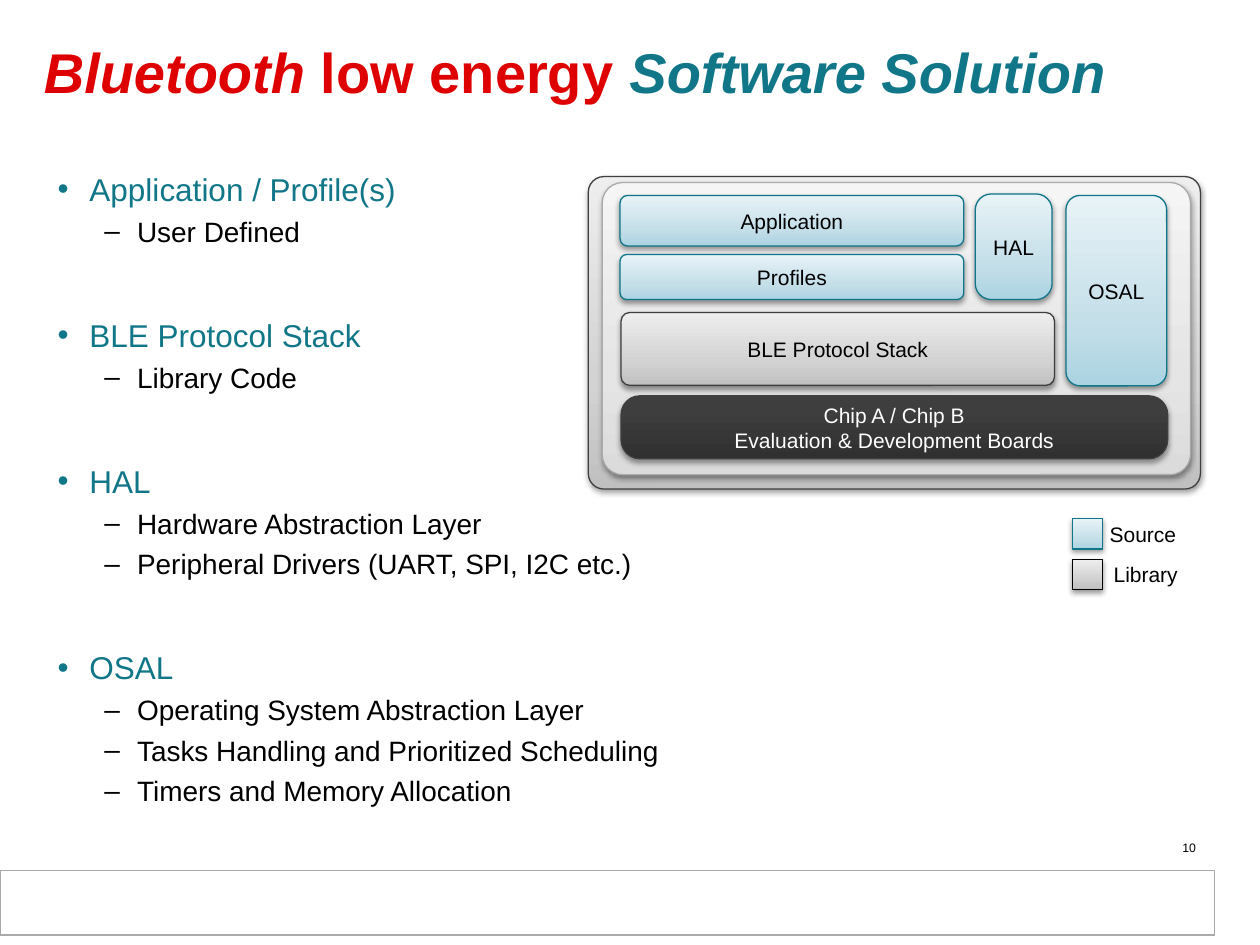
from copy import deepcopy

from lxml.etree import SubElement as Sub
from pptx import Presentation
from pptx.dml.color import RGBColor
from pptx.enum.shapes import MSO_SHAPE as Geo
from pptx.enum.text import MSO_ANCHOR as Anchor, MSO_AUTO_SIZE as Fit, PP_ALIGN as Align
from pptx.oxml.ns import qn
from pptx.util import Cm, Pt

rgb = RGBColor.from_string
RED, TEAL, BLACK, WHITE = "DE0000", "117788", "000000", "FFFFFF"

# look: gradient stops from bottom to top, line colour
LOOKS = {
    "source": ([(0, "ABD3E1"), (0.35, "C5DFE9"), (1, "E8F3F7")], "0E7688"),
    "library": ([(0, "C0C0C0"), (0.35, "D3D3D3"), (1, "EEEEEE")], "3F3F3F"),
    "key": ([(0, "BDBDBD"), (0.35, "D1D1D1"), (1, "EEEEEE")], BLACK),
    "panel": ([(0, "DBDBDB"), (0.35, "E5E5E5"), (1, "F5F5F5")], "AAAAAA"),
    "board": ([(0, "303030"), (0.8, "3E3E3E"), (1, "3E3E3E")], "3F3F3F"),
}


def style(font, color, **form):
    font.color.rgb = rgb(color)
    for key, val in ({"name": "Arial"} | form).items():
        setattr(font, key, val)


def block(geo, box, look):
    """Add a shape with a gradient, a thin line and a soft shadow."""
    shape = slide.shapes.add_shape(geo, *map(Cm, box))
    stops, edge = LOOKS[look]
    shape.fill.gradient()
    shape.fill.gradient_angle = 90
    props = shape._element.spPr
    grads = props.find(qn("a:gradFill")).find(qn("a:gsLst"))
    grads.append(deepcopy(grads[0]))
    for stop, (pos, color) in zip(shape.fill.gradient_stops, stops):
        stop.position = pos
        stop.color.rgb = rgb(color)
    shape.line.color.rgb = rgb(edge)
    shape.line.width = Pt(0.75)
    shape.shadow.inherit = False
    glow = Sub(props.find(qn("a:effectLst")), qn("a:outerShdw"), blurRad=str(Pt(3.1)),
               dist=str(Pt(1.6)), dir="5400000", rotWithShape="0")
    tone = Sub(glow, qn("a:srgbClr"), val=BLACK)
    Sub(tone, qn("a:alpha"), val="38000")
    return shape


deck = Presentation()
deck.slide_width, deck.slide_height = Cm(25.4), Cm(19.05)
slide = deck.slides.add_slide(deck.slide_layouts[1])
title, body = slide.placeholders

# Footer bar
bar = slide.shapes.add_shape(Geo.RECTANGLE, 0, Cm(17.55), Cm(24.49), Cm(1.3))
bar.fill.solid()
bar.fill.fore_color.rgb = rgb(WHITE)
bar.line.color.rgb = rgb("AAAAAA")
bar.line.width = Pt(0.75)
bar.shadow.inherit = False

# Title and list frames
for hold, box, mid in [(title, (0.63, 0.41, 23.5, 2.26), Anchor.MIDDLE),
                       (body, (0.91, 3.3, 14.38, 13.03), Anchor.TOP)]:
    hold.left, hold.top, hold.width, hold.height = map(Cm, box)
    hold.text_frame.auto_size = Fit.NONE
    hold.text_frame.vertical_anchor = mid

para = title.text_frame.paragraphs[0]
para.alignment = Align.LEFT
para.line_spacing = 0.85
for text, color, slant in [("Bluetooth", RED, True), (" low energy ", RED, False),
                           ("Software Solution", TEAL, True)]:
    run = para.add_run()
    run.text = text
    style(run.font, color, size=Pt(32), bold=True, italic=slant)

# Bullet list
topics = {
    "Application / Profile(s)": ["User Defined"],
    "BLE Protocol Stack": ["Library Code"],
    "HAL": ["Hardware Abstraction Layer", "Peripheral Drivers (UART, SPI, I2C etc.)"],
    "OSAL": ["Operating System Abstraction Layer",
             "Tasks Handling and Prioritized Scheduling",
             "Timers and Memory Allocation"],
}
rows = [(text, lvl) for head, subs in topics.items()
        for text, lvl in [(head, 0)] + [(sub, 1) for sub in subs]]
# level: bullet, left margin, indent, space before, size, colour
LEVELS = [("•", 0.64, -0.64, 38.7, 18, TEAL), ("–", 1.6, -0.66, 3.9, 16, BLACK)]
for num, (text, lvl) in enumerate(rows):
    mark, left, dent, gap, size, color = LEVELS[lvl]
    para = body.text_frame.add_paragraph() if num else body.text_frame.paragraphs[0]
    para.text = text
    para.level = lvl
    para.space_before = Pt(gap if num else 0)
    props = para._p.get_or_add_pPr()
    props.set("marL", str(Cm(left)))
    props.set("indent", str(Cm(dent)))
    Sub(props, qn("a:buChar"), char=mark)
    style(para.runs[0].font, color, size=Pt(size))

# Stack diagram: box, corner, look, text
blocks = [
    ((11.86, 3.56, 12.34, 6.3), 0.05, "library", ""),
    ((12.14, 3.68, 11.86, 5.89), 0.07, "panel", ""),
    ((12.5, 3.94, 6.93, 1.02), 0.15, "source", "Application"),
    ((12.5, 5.13, 6.93, 0.91), 0.15, "source", "Profiles"),
    ((12.52, 6.3, 8.74, 1.47), 0.12, "library", "BLE Protocol Stack"),
    ((19.66, 3.91, 1.55, 2.13), 0.21, "source", "HAL"),
    ((21.49, 3.94, 2.03, 3.84), 0.14, "source", "OSAL"),
    ((12.52, 7.98, 11.02, 1.27), 0.3, "board",
     "Chip A / Chip B\nEvaluation & Development Boards"),
]
for box, bend, look, text in blocks:
    shape = block(Geo.ROUNDED_RECTANGLE, box, look)
    shape.adjustments[0] = bend
    if text:
        frame = shape.text_frame
        frame.text = text
        frame.vertical_anchor = Anchor.MIDDLE
        for para in frame.paragraphs:
            para.alignment = Align.CENTER
            style(para.runs[0].font, WHITE if look == "board" else BLACK, size=Pt(12))

# Legend swatches
for top, look in [(10.46, "source"), (11.28, "key")]:
    block(Geo.RECTANGLE, (21.62, top, 0.61, 0.61), look)

# Legend labels and page number
for text, box, size, side in [("Source", (22.12, 10.39, 1.85, 0.76), 12, Align.LEFT),
                              ("Library", (22.2, 11.2, 1.83, 0.76), 12, Align.LEFT),
                              ("10", (18.44, 16.81, 5.92, 0.58), 7, Align.RIGHT)]:
    frame = slide.shapes.add_textbox(*map(Cm, box)).text_frame
    frame.text = text
    frame.word_wrap = side == Align.RIGHT
    frame.paragraphs[0].alignment = side
    style(frame.paragraphs[0].runs[0].font, BLACK, size=Pt(size))

deck.save("out.pptx")
